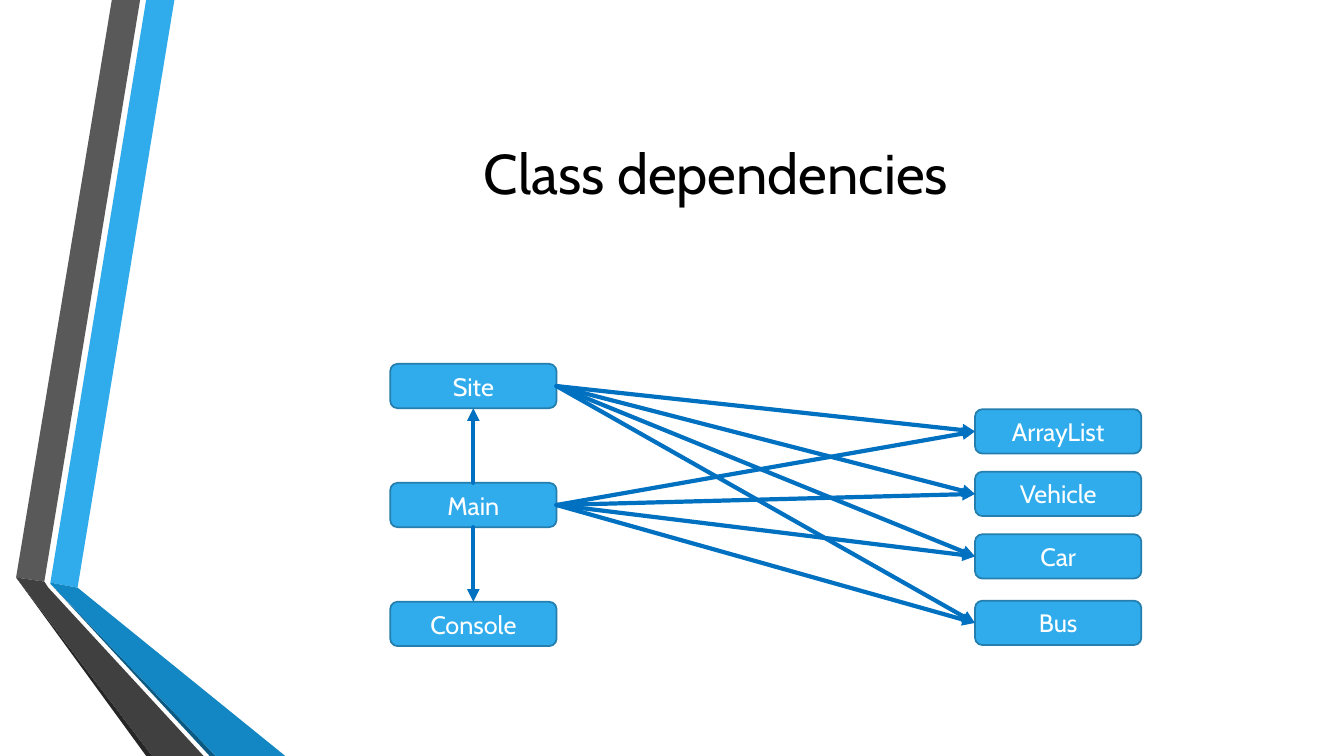
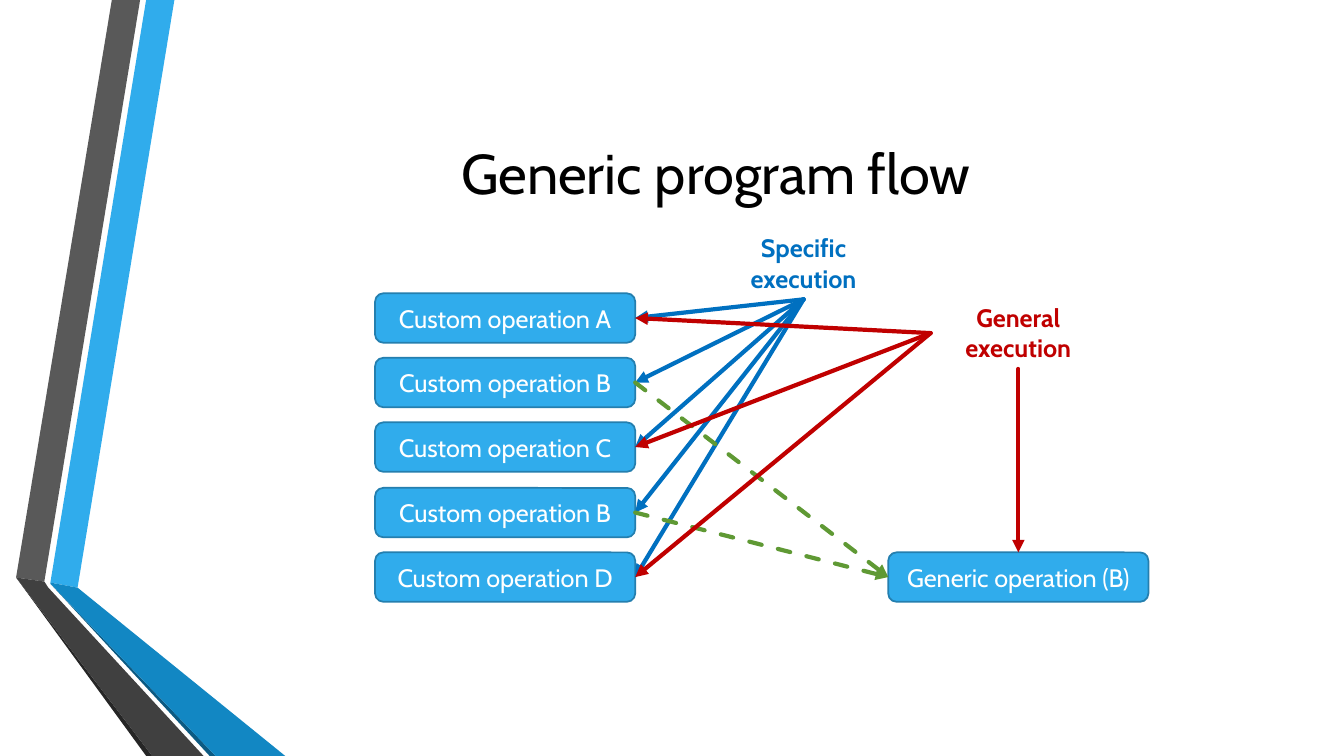
from dataclasses import dataclass

from lxml.etree import SubElement
from pptx import Presentation
from pptx.dml.color import RGBColor
from pptx.enum.dml import MSO_LINE
from pptx.enum.shapes import MSO_CONNECTOR, MSO_SHAPE
from pptx.enum.text import MSO_ANCHOR, MSO_AUTO_SIZE, PP_ALIGN
from pptx.oxml.ns import qn
from pptx.util import Emu, Pt

PX = 9144  # 100 px to the inch
TOP, LEFT, BOTTOM, RIGHT = range(4)


@dataclass(frozen=True)
class Theme:
    font: str = "Cabin"
    title_size: Pt = Pt(40)
    body_size: Pt = Pt(18)
    outline_width: Pt = Pt(1.25)
    arrow_width: Pt = Pt(3)
    black: RGBColor = RGBColor.from_string("000000")
    white: RGBColor = RGBColor.from_string("FFFFFF")
    sky: RGBColor = RGBColor.from_string("30ACEC")
    sky_outline: RGBColor = RGBColor.from_string("247FAF")
    ocean: RGBColor = RGBColor.from_string("1287C3")
    ocean_shade: RGBColor = RGBColor.from_string("0C5A82")
    gray: RGBColor = RGBColor.from_string("595959")
    charcoal: RGBColor = RGBColor.from_string("404040")
    charcoal_shade: RGBColor = RGBColor.from_string("262626")
    blue: RGBColor = RGBColor.from_string("0070C0")
    red: RGBColor = RGBColor.from_string("C00000")
    green: RGBColor = RGBColor.from_string("5F9934")


THEME = Theme()

RIBBON = (
    (THEME.sky, [(50, 578), (77, 583), (173, 0), (145, 0)]),
    (THEME.gray, [(139, 0), (111, 0), (16, 573), (44, 577)]),
    (THEME.charcoal_shade, [(16, 573), (145, 750), (151, 750)]),
    (THEME.ocean_shade, [(50, 579), (208, 750), (214, 750)]),
    (THEME.ocean, [(50, 578), (50, 579), (214, 750), (283, 750), (77, 583)]),
    (THEME.charcoal, [(202, 750), (48, 583), (44, 577), (16, 573), (151, 750)]),
)


def px(*lengths):
    return [Emu(length * PX) for length in lengths]


def write(shape, text, size, color, bold=False):
    frame = shape.text_frame
    frame.word_wrap = True
    paragraph = frame.paragraphs[0]
    paragraph.text = text
    paragraph.alignment = PP_ALIGN.CENTER
    font = paragraph.font
    font.name, font.size, font.bold = THEME.font, size, bold
    font.color.rgb = color
    return frame


def add_ribbon(slide):
    for color, (start, *corners) in RIBBON:
        builder = slide.shapes.build_freeform(*start, scale=PX)
        builder.add_line_segments(corners, close=True)
        facet = builder.convert_to_shape()
        facet.shadow.inherit = False
        facet.fill.solid()
        facet.fill.fore_color.rgb = color
        facet.line.fill.background()


def add_titled_slide(deck, text):
    slide = deck.slides.add_slide(deck.slide_layouts[6])
    add_ribbon(slide)
    title = slide.shapes.add_textbox(*px(162, 75, 1096, 192))
    frame = write(title, text, THEME.title_size, THEME.black)
    frame.vertical_anchor = MSO_ANCHOR.MIDDLE
    return slide


def add_box(slide, text, left, top, width, height):
    box = slide.shapes.add_shape(
        MSO_SHAPE.ROUNDED_RECTANGLE, *px(left, top, width, height))
    box.shadow.inherit = False
    box.fill.solid()
    box.fill.fore_color.rgb = THEME.sky
    box.line.color.rgb = THEME.sky_outline
    box.line.width = THEME.outline_width
    frame = write(box, text, THEME.body_size, THEME.white)
    frame.vertical_anchor = MSO_ANCHOR.MIDDLE
    return box


def add_label(slide, text, left, top, color):
    label = slide.shapes.add_textbox(*px(left, top, 174, 71))
    frame = write(label, text, THEME.body_size, color, bold=True)
    frame.auto_size = MSO_AUTO_SIZE.SHAPE_TO_FIT_TEXT
    return label


def add_arrow(slide, source, source_side, target, target_side, color, dashed=False):
    arrow = slide.shapes.add_connector(MSO_CONNECTOR.STRAIGHT, 0, 0, 0, 0)
    arrow.begin_connect(source, source_side)
    arrow.end_connect(target, target_side)
    arrow.line.color.rgb = color
    arrow.line.width = THEME.arrow_width
    if dashed:
        arrow.line.dash_style = MSO_LINE.DASH
    properties = arrow.element.spPr
    stroke = properties.find(qn("a:ln"))
    stroke.set("cap", "rnd")
    SubElement(stroke, qn("a:tailEnd"), type="triangle")
    SubElement(properties, qn("a:effectLst"))


def add_class_dependencies(deck):
    slide = add_titled_slide(deck, "Class dependencies")
    width, height = 165, 44
    site, main_class, console = [
        add_box(slide, name, 387, 361 + 118 * row, width, height)
        for row, name in enumerate(("Site", "Main", "Console"))]
    used_classes = [
        add_box(slide, name, 967, top, width, height)
        for name, top in (("ArrayList", 406), ("Vehicle", 468),
                          ("Car", 530), ("Bus", 596))]

    add_arrow(slide, main_class, TOP, site, BOTTOM, THEME.blue)
    add_arrow(slide, main_class, BOTTOM, console, TOP, THEME.blue)
    for user in (site, main_class):
        for used in used_classes:
            add_arrow(slide, user, RIGHT, used, LEFT, THEME.blue)


def add_program_flow(deck):
    slide = add_titled_slide(deck, "Generic program flow")
    width, height = 258, 49
    first_top, last_top = 291, 548
    letters = "ABCBD"
    step = (last_top - first_top) / (len(letters) - 1)
    operations = [
        add_box(slide, f"Custom operation {letter}",
                372, first_top + round(step * row), width, height)
        for row, letter in enumerate(letters)]
    generic = add_box(slide, "Generic operation (B)", 881, last_top, width, height)

    specific = add_label(slide, "Specific execution", 710, 226, THEME.blue)
    for operation in operations:
        add_arrow(slide, specific, BOTTOM, operation, RIGHT, THEME.blue)

    general = add_label(slide, "General execution", 923, 295, THEME.red)
    add_arrow(slide, general, BOTTOM, generic, TOP, THEME.red)
    for letter, operation in zip(letters, operations):
        if letter == "B":
            add_arrow(slide, operation, RIGHT, generic, LEFT, THEME.green, dashed=True)
        else:
            add_arrow(slide, general, LEFT, operation, RIGHT, THEME.red)


def main():
    deck = Presentation()
    deck.slide_width, deck.slide_height = px(1333, 750)
    add_class_dependencies(deck)
    add_program_flow(deck)
    deck.save("out.pptx")


if __name__ == "__main__":
    main()
